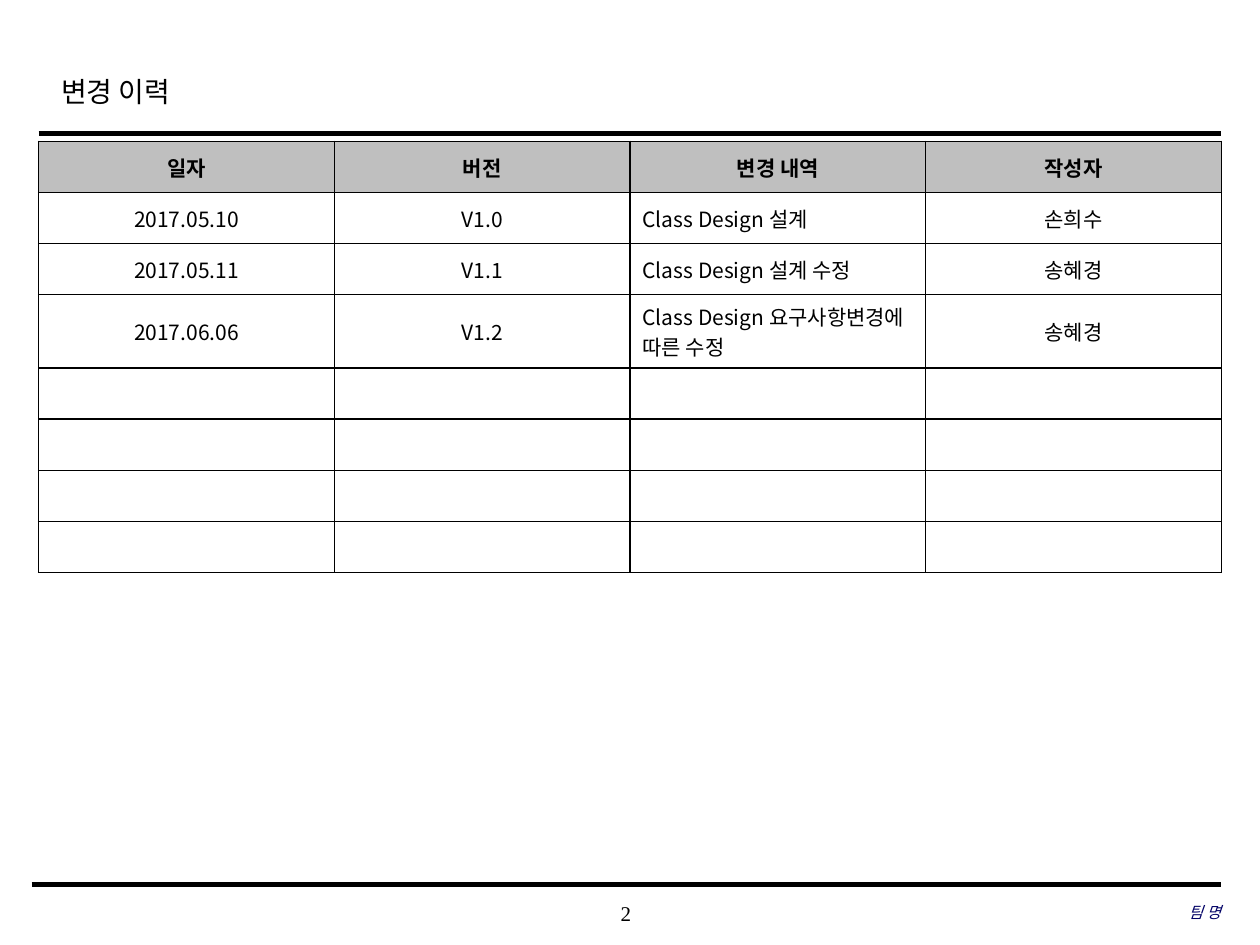
import pptx
import pptx.dml.color
import pptx.enum.shapes
import pptx.enum.text
import pptx.oxml.ns
import pptx.util
from lxml import etree
from pptx.util import Cm, Pt

ALIGN = pptx.enum.text.PP_ALIGN
MIDDLE = pptx.enum.text.MSO_ANCHOR.MIDDLE
SERIF, SANS = "Times New Roman", "Noto Sans CJK KR"
BLACK, WHITE, GREY, NAVY = "000000", "FFFFFF", "BFBFBF", "000066"

TITLE = "변경 이력"
PAGE_NUMBER = "2"
TEAM = "팀 명"
HEADERS = ("일자", "버전", "변경 내역", "작성자")
CHANGES = [
    ("2017.05.10", "V1.0", "Class Design 설계", "손희수"),
    ("2017.05.11", "V1.1", "Class Design 설계 수정", "송혜경"),
    ("2017.06.06", "V1.2", "Class Design 요구사항변경에 따른 수정", "송혜경"),
]
EMPTY_ROWS = 4
DESCRIPTION_COLUMN = 2

LEFT, RIGHT = 0.78, 24.61
COLUMN_WIDTH = 5.96
ROW_HEIGHT, TWO_LINE_HEIGHT = 1.03, 1.48
LINE_CAPACITY = 20  # characters that fit on one line of a description
# left, right, height on the slide, line width in points
RULES = [(LEFT, RIGHT, 2.69, 2.5), (0.64, RIGHT, 17.83, 3)]
# text, box in cm, size, colour, italic, alignment
FOOTERS = [
    (PAGE_NUMBER, (9.98, 17.98, 5.28, 0.84), 12, BLACK, False, ALIGN.CENTER),
    (TEAM, (16.84, 17.96, 7.77, 0.84), 9, NAVY, True, ALIGN.RIGHT),
]


def color(hex_text):
    return pptx.dml.color.RGBColor.from_string(hex_text)


def add_element(parent, tag, **attributes):
    return etree.SubElement(parent, pptx.oxml.ns.qn(tag), attributes)


def add_run(paragraph, text, size, font, fill=BLACK, bold=False, italic=False):
    run = paragraph.add_run()
    run.text = text
    run.font.size = Pt(size)
    run.font.name = font
    run.font.bold = bold
    run.font.italic = italic
    run.font.color.rgb = color(fill)
    add_element(run.font._element, "a:ea", typeface=SANS)


def add_title(slide):
    title = slide.shapes.title
    title.left, title.top, title.width, title.height = map(Cm, (0.98, 1.14, 19.18, 1.27))
    title.text_frame.vertical_anchor = MIDDLE
    paragraph = title.text_frame.paragraphs[0]
    paragraph.alignment = ALIGN.LEFT
    paragraph.line_spacing = 1.2
    add_run(paragraph, TITLE, 16, SERIF)


def add_rule(slide, left, right, top, width):
    rule = slide.shapes.add_connector(
        pptx.enum.shapes.MSO_CONNECTOR.STRAIGHT, Cm(left), Cm(top), Cm(right), Cm(top))
    rule.line.color.rgb = color(BLACK)
    rule.line.width = Pt(width)
    add_element(rule._element.spPr, "a:effectLst")


def add_footer(slide, text, box, size, fill, italic, alignment):
    frame = slide.shapes.add_textbox(*map(Cm, box)).text_frame
    frame.word_wrap = True
    frame.vertical_anchor = MIDDLE
    frame.margin_left = frame.margin_right = frame.margin_top = frame.margin_bottom = 0
    paragraph = frame.paragraphs[0]
    paragraph.alignment = alignment
    add_run(paragraph, text, size, SERIF, fill, italic=italic)


def format_cell(cell, fill):
    """Give the cell black borders on all sides and a plain fill."""
    cell.vertical_anchor = MIDDLE
    properties = cell._tc.get_or_add_tcPr()
    for side in ("a:lnL", "a:lnR", "a:lnT", "a:lnB"):
        border = add_element(properties, side, w=str(Pt(1)))
        add_element(add_element(border, "a:solidFill"), "a:srgbClr", val=BLACK)
    cell.fill.solid()
    cell.fill.fore_color.rgb = color(fill)


def add_change_table(slide):
    rows = [HEADERS, *CHANGES] + [("",) * len(HEADERS)] * EMPTY_ROWS
    heights = [TWO_LINE_HEIGHT if len(texts[DESCRIPTION_COLUMN]) > LINE_CAPACITY
               else ROW_HEIGHT for texts in rows]
    table = slide.shapes.add_table(
        len(rows), len(HEADERS), Cm(LEFT), Cm(2.85),
        Cm(COLUMN_WIDTH * len(HEADERS)), Cm(sum(heights))).table
    for column in table.columns:
        column.width = Cm(COLUMN_WIDTH)
    for row_index, (texts, height) in enumerate(zip(rows, heights)):
        table.rows[row_index].height = Cm(height)
        header = row_index == 0
        for column_index, text in enumerate(texts):
            cell = table.cell(row_index, column_index)
            format_cell(cell, GREY if header else WHITE)
            paragraph = cell.text_frame.paragraphs[0]
            described = column_index == DESCRIPTION_COLUMN and not header
            paragraph.alignment = ALIGN.LEFT if described else ALIGN.CENTER
            if text:
                add_run(paragraph, text, 12, SANS, bold=header)
            else:
                add_element(paragraph._p, "a:endParaRPr", sz="1200")


def main():
    presentation = pptx.Presentation()
    presentation.slide_width, presentation.slide_height = Cm(25.4), Cm(19.05)
    slide = presentation.slides.add_slide(presentation.slide_layouts[5])
    for rule in RULES:
        add_rule(slide, *rule)
    add_title(slide)
    for footer in FOOTERS:
        add_footer(slide, *footer)
    add_change_table(slide)
    presentation.save("out.pptx")


if __name__ == "__main__":
    main()
